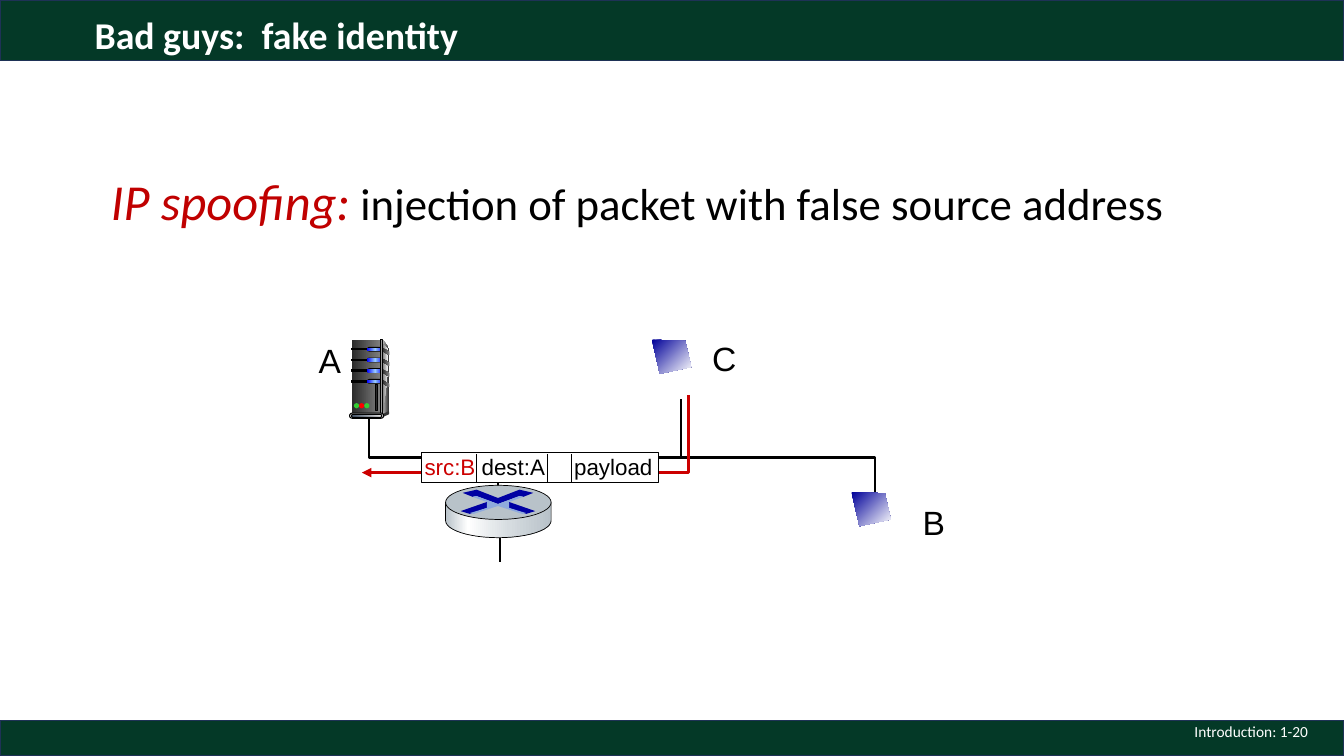
from dataclasses import dataclass
from math import cos, pi, sin
from typing import Optional, Union

from lxml.etree import SubElement
from pptx import Presentation
from pptx.dml.color import RGBColor
from pptx.enum.shapes import MSO_CONNECTOR as Connector, MSO_SHAPE as Preset
from pptx.enum.text import MSO_ANCHOR as Anchor, MSO_AUTO_SIZE as AutoSize, PP_ALIGN as Align
from pptx.oxml.ns import qn
from pptx.util import Cm, Pt

COLOURS = {
    "band": "043927", "band edge": "1E3256", "white": "FFFFFF", "black": "000000",
    "term": "C00000", "spoof": "CC0000", "screen": "000099", "dark": "333333",
    "light": "DDDDDD", "coal": "292929", "grey": "808080", "pale": "F8F8F8",
    "blue": "0000FF", "sky": "99CCFF", "slate": "44546A", "silver": "E7E6E6",
    "green": "33CC33", "red": "FF0000", "router": "B8C2C9", "router mid": "D6DCE0",
    "arrow": "0000A3", "arrow core": "8FAADC",
}
Points = list[tuple[float, float]]
Box = tuple[float, float, float, float]


@dataclass
class Gradient:
    stops: list[tuple[int, str]]
    angle: int = 0


@dataclass
class Solid:
    """A preset shape: box is left, top, width and height in cm."""
    preset: Preset
    box: Box
    fill: Union[str, Gradient]
    line: Optional[str] = None
    weight: float = 0.75


@dataclass
class Outline:
    """A polygon or, without a fill, an open line; points in cm."""
    points: Points
    fill: Union[str, Gradient, None] = None
    line: Optional[str] = None
    weight: float = 0.5
    arrow: bool = False


def colour(name: str) -> RGBColor:
    return RGBColor.from_string(COLOURS[name])


def paint(shape, part: Union[Solid, Outline]) -> None:
    shape.shadow.inherit = False
    if part.fill is None:
        shape.fill.background()
    elif isinstance(part.fill, Gradient):
        shape.fill.gradient()
        gradient = shape._element.spPr.find(qn("a:gradFill"))
        gradient.find(qn("a:lin")).set("ang", str(part.fill.angle * 60000))
        stops = gradient.find(qn("a:gsLst"))
        stops.clear()
        for position, name in part.fill.stops:
            stop = SubElement(stops, qn("a:gs"), pos=str(position * 1000))
            SubElement(stop, qn("a:srgbClr"), val=COLOURS[name])
    else:
        shape.fill.solid()
        shape.fill.fore_color.rgb = colour(part.fill)
    if part.line is None:
        shape.line.fill.background()
    else:
        shape.line.color.rgb = colour(part.line)
        shape.line.width = Pt(part.weight)


def draw(page, part: Union[Solid, Outline]):
    if isinstance(part, Solid):
        shape = page.shapes.add_shape(part.preset, *map(Cm, part.box))
        if part.preset == Preset.ROUNDED_RECTANGLE:
            shape.adjustments[0] = 0.5
    else:
        corners = [(Cm(x), Cm(y)) for x, y in part.points]
        builder = page.shapes.build_freeform(*corners[0])
        builder.add_line_segments(corners[1:], close=part.fill is not None)
        shape = builder.convert_to_shape()
    paint(shape, part)
    if isinstance(part, Outline) and part.arrow:
        SubElement(shape.line._get_or_add_ln(), qn("a:tailEnd"), type="triangle")
    return shape


def wire(page, start: tuple[float, float], end: tuple[float, float], weight: float) -> None:
    line = page.shapes.add_connector(Connector.STRAIGHT, *map(Cm, start + end))
    line.line.color.rgb = colour("black")
    line.line.width = Pt(weight)
    SubElement(line._element.spPr, qn("a:effectLst"))


def style(span, size: float, name: str, face: str = "Calibri") -> None:
    span.font.size, span.font.name = Pt(size), face
    span.font.color.rgb = colour(name)


def place(shape, box: Box) -> None:
    shape.left, shape.top, shape.width, shape.height = map(Cm, box)


def text_box(page, box: Box, text: str, size: float, name: str, face: str, align: Align,
             wrap: bool = True):
    frame = page.shapes.add_textbox(*map(Cm, box)).text_frame
    frame.word_wrap = wrap
    frame.text = text
    para = frame.paragraphs[0]
    para.alignment = align
    for span in para.runs:
        style(span, size, name, face)
    return frame


def mirrored(half: Points, axis: float = 12.55) -> Points:
    return half + [(2 * axis - x, y) for x, y in reversed(half)]


def draw_screen(page, left: float, top: float) -> None:
    corners = [(0, 0), (0.84, 0.03), (0.99, 0.69), (0.2, 0.86)]
    draw(page, Outline([(left + x, top + y) for x, y in corners],
                       Gradient([(0, "screen"), (100, "white")], 45)))


def draw_server(page) -> None:
    rect, pill, oval = Preset.RECTANGLE, Preset.ROUNDED_RECTANGLE, Preset.OVAL
    metal = Gradient([(0, "coal"), (100, "grey")])
    lamp = Gradient([(0, "blue"), (50, "sky"), (100, "blue")])
    parts = [
        Outline([(9.65, 8.56), (9.8, 8.79), (9.8, 10.36), (9.6, 10.44)],
                Gradient([(0, "light"), (100, "dark")])),
        Solid(rect, (8.86, 8.56, 0.74, 1.88), metal),
        Outline([(9.65, 8.66), (9.78, 8.81), (9.75, 9.6), (9.65, 10.39)],
                Gradient([(0, "grey"), (100, "pale")])),
    ]
    for row in range(4):
        y = 8.8 + 0.27 * row
        parts += [
            Solid(rect, (8.86, y - 0.02, 0.43, 0.04), "black", "black"),
            Solid(pill, (9.25, y - 0.06, 0.41, 0.12), "black"),
            Solid(pill, (9.25, y - 0.04, 0.41, 0.09), lamp),
            Outline([(9.64, y - 0.03), (9.81, y + 0.06), (9.81, y + 0.15), (9.64, y + 0.05)],
                    metal),
        ]
    parts += [
        Solid(rect, (9.6, 8.56, 0.05, 1.88),
              Gradient([(0, "dark"), (50, "light"), (100, "dark")]), "black"),
        Solid(oval, (9.78, 10.36, 0.03, 0.08), "dark"),
        Outline([(9.63, 10.44), (9.63, 10.52), (9.8, 10.44), (9.8, 10.36)], "dark"),
        Solid(pill, (8.81, 10.41, 0.86, 0.13), "light", "black"),
        Solid(pill, (8.86, 10.44, 0.76, 0.08),
              Gradient([(0, "slate"), (100, "silver")]), "black"),
    ]
    parts += [Solid(oval, (8.92 + 0.13 * i, 10.16, 0.13, 0.13), name)
              for i, name in enumerate(["green", "red", "green"])]
    parts.append(Solid(rect, (9.47, 9.7, 0.05, 0.64), "coal", "black"))
    for part in parts:
        draw(page, part)


def draw_router(page) -> None:
    arc = [(12.56 + 1.33 * cos(i * pi / 24), 13.12 + 0.43 * sin(i * pi / 24)) for i in range(25)]
    sheen = Gradient([(0, "router"), (21, "white"), (60, "router mid"), (100, "router")])
    foot = [(12.83, 12.65), (13.49, 12.88), (13.26, 12.95), (12.83, 12.8)]
    chevron = [(12.55, 12.55), (12.01, 12.34), (11.66, 12.42), (11.91, 12.52),
               (12.01, 12.5), (12.55, 12.7)]
    core = [(12.55, 12.7), (12.01, 12.5), (11.91, 12.52), (12.27, 12.65),
            (12.27, 12.8), (11.84, 12.93), (11.94, 12.95), (12.55, 12.75)]
    for part in [
        Outline(arc + [(11.23, 12.66), (13.89, 12.66)], sheen, "black"),
        Solid(Preset.OVAL, (11.23, 12.23, 2.66, 0.86), "router", "black", 0.5),
        Outline(mirrored(chevron), "arrow"),
        Outline(foot, "arrow"),
        Outline(mirrored(foot)[4:], "arrow"),
        Outline(mirrored(core), "arrow core"),
    ]:
        draw(page, part)


def draw_packet(page) -> None:
    draw(page, Outline([(17.35, 9.96), (17.35, 11.91), (9.12, 11.91)],
                       line="spoof", weight=2.25, arrow=True))
    draw(page, Solid(Preset.RECTANGLE, (10.62, 11.4, 5.97, 0.76), "white", "black", 1))
    for x in (12.01, 13.79, 14.4):
        wire(page, (x, 11.44), (x, 12.17), 1)
    frame = text_box(page, (10.45, 11.3, 6.38, 0.94), "", 16, "black", "Arial", Align.LEFT)
    para = frame.paragraphs[0]
    tabs = SubElement(para._p.get_or_add_pPr(), qn("a:tabLst"))
    SubElement(tabs, qn("a:tab"), pos=str(Cm(3.77)), algn="l")
    for text, name in [("src:B", "spoof"), (" dest:A\tpayload", "black")]:
        span = para.add_run()
        span.text = text
        style(span, 16, name, "Arial")


def fill_placeholders(page) -> None:
    title, body = page.shapes.title, page.placeholders[1]
    place(title, (2.13, 0.36, 29.21, 1.14))
    title.text_frame.text = "Bad guys:  fake identity"
    title.text_frame.vertical_anchor = Anchor.MIDDLE
    heading = title.text_frame.paragraphs[0]
    heading.alignment, heading.line_spacing = Align.LEFT, 0.9
    style(heading.runs[0], 27, "white")
    heading.runs[0].font.bold = True

    place(body, (2.16, 4.34, 28.73, 5.79))
    para = body.text_frame.paragraphs[0]
    properties = para._p.get_or_add_pPr()
    properties.set("marL", str(Cm(0.99)))
    properties.set("indent", str(Cm(-0.61)))
    SubElement(properties, qn("a:buNone"))
    para.line_spacing, para.space_before = 0.9, Pt(0)
    for text, size, name in [("IP spoofing:", 36, "term"), (" ", 32, "term"),
                             ("injection of packet with false source address", 32, "black")]:
        span = para.add_run()
        span.text = text
        style(span, size, name)
        span.font.italic = name == "term"
    for shape in (title, body):
        shape.text_frame.auto_size = AutoSize.NONE


def main() -> None:
    deck = Presentation()
    deck.slide_width, deck.slide_height = Cm(33.87), Cm(19.05)
    page = deck.slides.add_slide(deck.slide_layouts[1])
    fill_placeholders(page)

    # Bands, sent behind the title
    for top, height in ((0, 1.52), (18.16, 0.89)):
        band = draw(page, Solid(Preset.RECTANGLE, (0, top, 33.87, height), "band", "band edge", 1))
        page.shapes._spTree.insert(2, band._element)

    # Network: hosts, links and router
    draw_screen(page, 16.43, 8.56)
    draw(page, Outline([(9.3, 10.41), (9.3, 11.53), (22.05, 11.53), (22.05, 12.45)],
                       line="black", weight=1.5))
    for x, top, bottom in ((17.17, 10.06, 11.5), (12.55, 11.5, 12.55), (12.6, 13.49, 14.15)):
        wire(page, (x, bottom), (x, top), 1.5)
    for name, left, top in (("A", 7.77, 8.43), ("B", 22.99, 12.52), ("C", 17.7, 8.38)):
        text_box(page, (left, top, 1.09, 1.27), name, 24, "black", "Arial", Align.CENTER, False)
    draw_server(page)
    draw_screen(page, 21.46, 12.4)
    draw_router(page)

    # Spoofed packet and footer
    draw_packet(page)
    footer = text_box(page, (25.6, 17.91, 7.62, 1.02), "Introduction: 1-20", 11, "white",
                      "Calibri", Align.RIGHT)
    footer.vertical_anchor = Anchor.MIDDLE
    deck.save("out.pptx")


if __name__ == "__main__":
    main()
